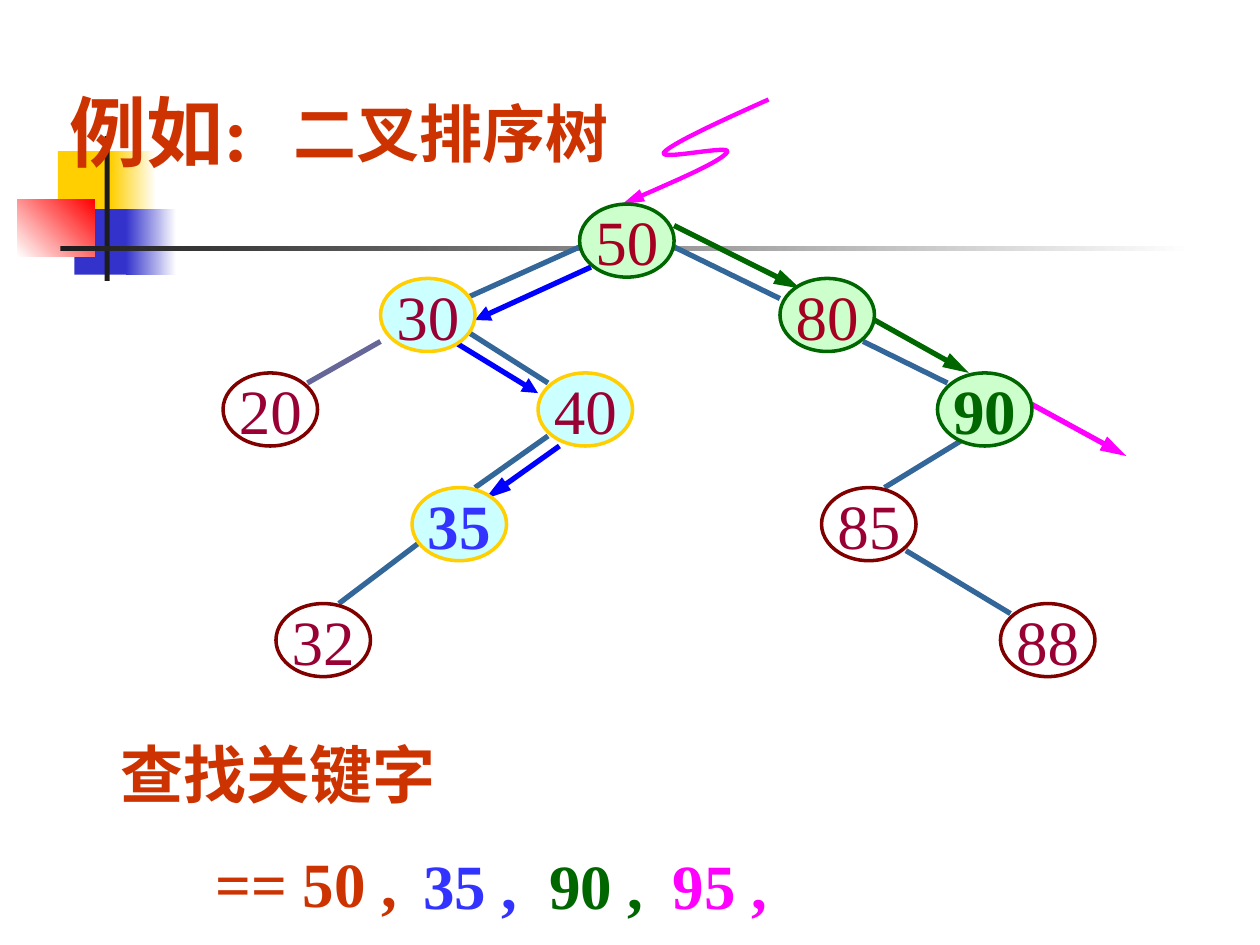
from lxml import etree
from pptx import Presentation
from pptx.dml.color import RGBColor
from pptx.enum.shapes import MSO_CONNECTOR, MSO_SHAPE
from pptx.enum.text import MSO_ANCHOR, MSO_AUTO_SIZE, PP_ALIGN
from pptx.oxml.ns import qn
from pptx.util import Inches, Pt

RECT, OVAL = MSO_SHAPE.RECTANGLE, MSO_SHAPE.OVAL
STRAIGHT = MSO_CONNECTOR.STRAIGHT
TOP, MIDDLE = MSO_ANCHOR.TOP, MSO_ANCHOR.MIDDLE
LEFT, CENTER = PP_ALIGN.LEFT, PP_ALIGN.CENTER
GROW = MSO_AUTO_SIZE.SHAPE_TO_FIT_TEXT

FONT = "Times New Roman"
WHITE = RGBColor(0xFF, 0xFF, 0xFF)
YELLOW = RGBColor(0xFF, 0xCF, 0x01)
INDIGO = RGBColor(0x33, 0x33, 0xCC)
RED = RGBColor(0xFF, 0x00, 0x00)
BLACK = RGBColor(0x1C, 0x1C, 0x1C)
MAROON = RGBColor(0x80, 0x00, 0x00)
WINE = RGBColor(0x99, 0x00, 0x33)
CRIMSON = RGBColor(0xA5, 0x00, 0x21)
RUST = RGBColor(0xCC, 0x33, 0x00)
BLUE = RGBColor(0x33, 0x33, 0xFF)
ARROW_BLUE = RGBColor(0x00, 0x00, 0xFF)
GREEN = RGBColor(0x00, 0x66, 0x00)
MAGENTA = RGBColor(0xFF, 0x00, 0xFF)
STEEL = RGBColor(0x33, 0x66, 0x99)
SLATE = RGBColor(0x66, 0x66, 0x99)
PALE_CYAN = RGBColor(0xCC, 0xFF, 0xFF)
PALE_GREEN = RGBColor(0xCC, 0xFF, 0xCC)

TITLE = ("例如:", 0.45, 0.62, 1.77, 0.84)
LABELS = [
    ("二叉排序树", 2.23, 0.7, 2.7, RUST),
    ("查找关键字", 0.86, 5.79, 2.7, RUST),
    ("== 50 ,", 1.61, 6.65, 1.8, RUST),
    ("35 ,", 3.26, 6.67, 0.95, BLUE),
    ("90 ,", 4.26, 6.67, 0.95, GREEN),
    ("95 ,", 5.24, 6.67, 0.95, MAGENTA),
]
DECOR = [
    (0.46, 1.2, 0.48, 0.52, [YELLOW], 0),
    (0.88, 1.2, 0.36, 0.52, [YELLOW, WHITE], 0),
    (0.59, 1.66, 0.46, 0.52, [INDIGO], 0),
    (1, 1.66, 0.4, 0.52, [INDIGO, WHITE], 0),
    (0.14, 1.58, 0.61, 0.46, [WHITE, RED], 45),
    (0.83, 1.08, 0.04, 1.15, [BLACK], 0),
    (0.48, 1.95, 9, 0.04, [BLACK, WHITE], 0),
]
NODE_W, NODE_H = 0.75, 0.58
PLAIN = (None, MAROON)
LEFT_PATH = (PALE_CYAN, YELLOW)
RIGHT_PATH = (PALE_GREEN, GREEN)
NODES = [
    ("20", 1.77, 2.96, PLAIN, WINE, False),
    ("85", 6.52, 3.87, PLAIN, WINE, False),
    ("88", 7.94, 4.79, PLAIN, WINE, False),
    ("32", 2.19, 4.79, PLAIN, WINE, False),
    ("30", 3.02, 2.21, LEFT_PATH, WINE, False),
    ("40", 4.27, 2.96, LEFT_PATH, WINE, False),
    ("35", 3.27, 3.87, LEFT_PATH, BLUE, True),
    ("50", 4.6, 1.62, RIGHT_PATH, CRIMSON, False),
    ("80", 6.19, 2.21, RIGHT_PATH, CRIMSON, False),
    ("90", 7.44, 2.96, RIGHT_PATH, GREEN, True),
]
EDGES = [
    (4.6, 1.96, 3.69, 2.37, STEEL),
    (3.02, 2.71, 2.44, 3.04, SLATE),
    (5.35, 1.96, 6.19, 2.37, STEEL),
    (3.69, 2.62, 4.35, 3.04, STEEL),
    (4.35, 3.46, 3.77, 3.87, STEEL),
    (6.85, 2.71, 7.52, 3.04, STEEL),
    (7.69, 3.46, 7.02, 3.87, STEEL),
    (7.19, 4.37, 8.02, 4.87, STEEL),
    (3.35, 4.29, 2.69, 4.79, STEEL),
]
ARROWS = [
    (4.69, 2.12, 3.77, 2.54, ARROW_BLUE, "med"),
    (3.6, 2.71, 4.27, 3.12, ARROW_BLUE, "med"),
    (4.44, 3.54, 3.85, 3.96, ARROW_BLUE, "lg"),
    (5.35, 1.79, 6.35, 2.29, GREEN, "lg"),
    (6.94, 2.54, 7.69, 2.96, GREEN, "lg"),
    (8.19, 3.21, 8.94, 3.62, MAGENTA, "lg"),
]
CURVE_START = (6.1, 0.79)
CURVE = [
    (5.72, 0.96), (5.33, 1.14), (5.27, 1.21),
    (5.22, 1.28), (5.83, 1.14), (5.77, 1.21),
    (5.72, 1.28), (5.33, 1.45), (4.94, 1.62),
]


def box(*lengths):
    return [Inches(v) for v in lengths]


def put_text(sp, text, size, color, bold, align=LEFT, anchor=TOP):
    tf = sp.text_frame
    tf.word_wrap = False
    tf.vertical_anchor = anchor
    p = tf.paragraphs[0]
    p.alignment = align
    r = p.add_run()
    r.text = text
    r.font.name = FONT
    r.font.size = Pt(size)
    r.font.bold = bold
    r.font.color.rgb = color
    return tf


def add_head(line, length):
    etree.SubElement(line._get_or_add_ln(), qn("a:tailEnd"),
                     type="triangle", w="med", len=length)


def add_line(s, x1, y1, x2, y2, color, head=None):
    c = s.shapes.add_connector(STRAIGHT, *box(x1, y1, x2, y2))
    c.line.color.rgb = color
    c.line.width = Pt(3)
    if head:
        add_head(c.line, head)
    etree.SubElement(c.element.spPr, qn("a:effectLst"))


def add_decor(s, x, y, w, h, colors, angle):
    sp = s.shapes.add_shape(RECT, *box(x, y, w, h))
    sp.shadow.inherit = False
    sp.line.fill.background()
    if len(colors) == 1:
        sp.fill.solid()
        sp.fill.fore_color.rgb = colors[0]
    else:
        sp.fill.gradient()
        sp.fill.gradient_angle = angle
        for stop, color in zip(sp.fill.gradient_stops, colors):
            stop.color.rgb = color


def add_node(s, key, x, y, style, color, bold):
    fill, outline = style
    sp = s.shapes.add_shape(OVAL, *box(x, y, NODE_W, NODE_H))
    sp.shadow.inherit = False
    if fill is None:
        sp.fill.background()
    else:
        sp.fill.solid()
        sp.fill.fore_color.rgb = fill
    sp.line.color.rgb = outline
    sp.line.width = Pt(2)
    put_text(sp, key, 36, color, bold, CENTER, MIDDLE)


def add_curve(s):
    fb = s.shapes.build_freeform(*box(*CURVE_START), scale=1.0)
    fb.add_line_segments([box(*pt) for pt in CURVE], close=False)
    sp = fb.convert_to_shape()
    segments = list(sp.element.iter(qn("a:lnTo")))
    for i in range(0, len(segments), 3):
        bez = etree.Element(qn("a:cubicBezTo"))
        segments[i].addprevious(bez)
        for seg in segments[i:i + 3]:
            bez.append(seg[0])
            seg.getparent().remove(seg)
    sp.shadow.inherit = False
    sp.fill.background()
    sp.line.color.rgb = MAGENTA
    sp.line.width = Pt(2.5)
    add_head(sp.line, "lg")


def main():
    prs = Presentation()
    prs.slide_width, prs.slide_height = box(10, 7.5)
    s = prs.slides.add_slide(prs.slide_layouts[5])
    for decor in DECOR:
        add_decor(s, *decor)
    for line in EDGES + ARROWS:
        add_line(s, *line)
    add_curve(s)
    for node in NODES:
        add_node(s, *node)
    text, *place = TITLE
    title = s.shapes.title
    title.left, title.top, title.width, title.height = box(*place)
    put_text(title, text, 44, RUST, True).auto_size = GROW
    title.element.getparent().append(title.element)
    for text, x, y, w, color in LABELS:
        tb = s.shapes.add_textbox(*box(x, y, w, 0.7))
        put_text(tb, text, 36, color, True).auto_size = GROW
    prs.save("out.pptx")


if __name__ == "__main__":
    main()
